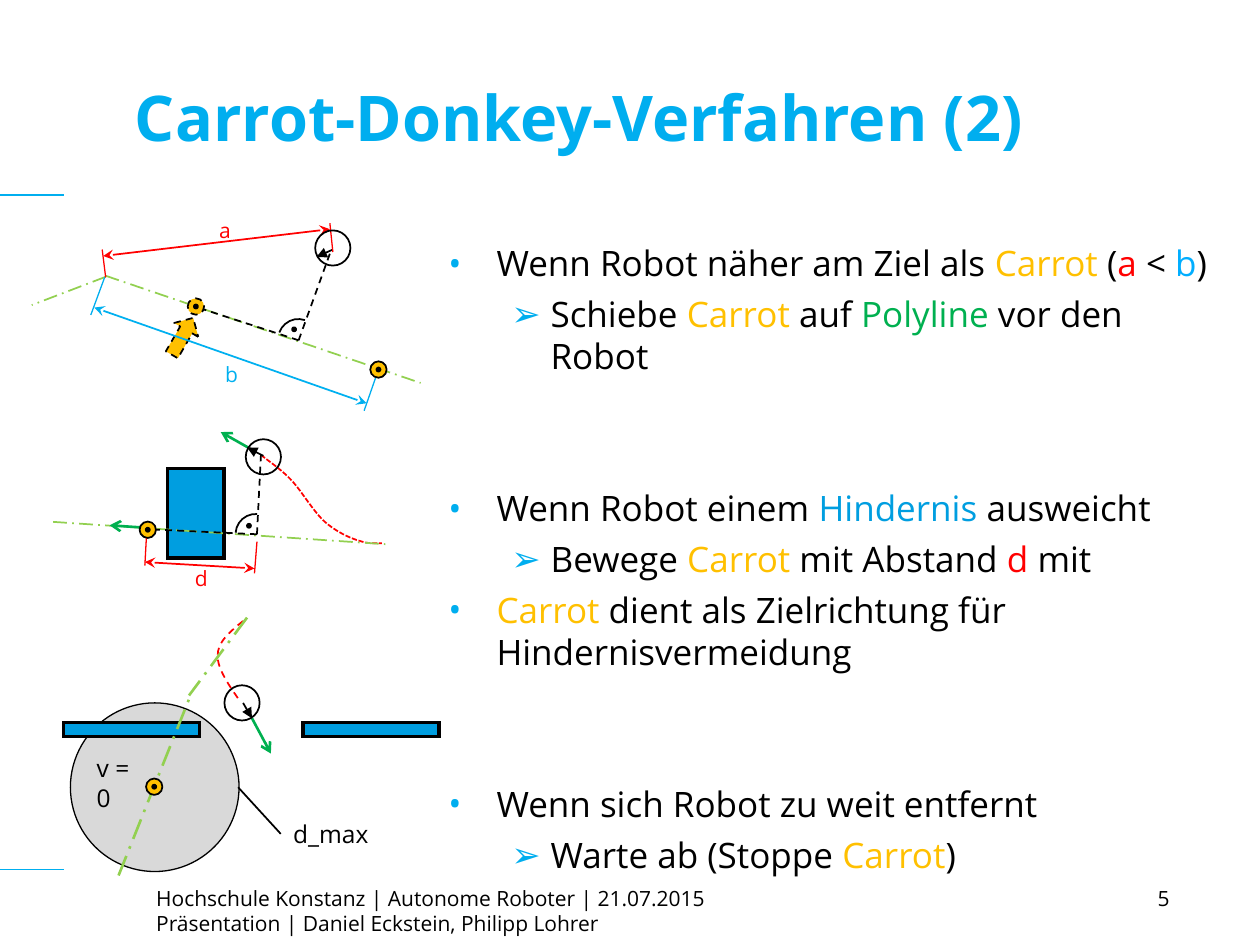
"""Builds the slide on the Carrot-Donkey method with its three sketches."""
from dataclasses import dataclass

from lxml import etree
from pptx import Presentation
from pptx import util as u
from pptx.dml import color
from pptx.enum import dml, shapes, text
from pptx.oxml import ns


@dataclass(frozen=True)
class Theme:
    font: str = "Open Sans"
    accent: str = "00AEEF"
    wall: str = "009EE0"
    carrot: str = "FFC000"
    red: str = "FF0000"
    blue: str = "00B0F0"
    b_blue: str = "00AEFF"
    green: str = "00B050"
    route: str = "92D050"
    black: str = "000000"
    grey: str = "D9D9D9"
    title: int = 36
    body: int = 20
    note: int = 14
    small: int = 12


T = Theme()
DASH = dml.MSO_LINE.DASH
ROUTE = dml.MSO_LINE.LONG_DASH_DOT


def paint(s, line, width, dash=None, fill=None):
    s.line.color.rgb = color.RGBColor.from_string(line)
    s.line.width = u.Pt(width)
    if dash is not None:
        s.line.dash_style = dash
    if hasattr(s, "fill"):
        s.shadow.inherit = False
        if fill:
            s.fill.solid()
            s.fill.fore_color.rgb = color.RGBColor.from_string(fill)
        else:
            s.fill.background()
    else:
        etree.SubElement(s._element.spPr, ns.qn("a:effectLst"))


def write(p, runs, size, bold=False):
    for words, shade in runs:
        r = p.add_run()
        r.text = words
        r.font.name = T.font
        r.font.size = u.Pt(size)
        r.font.bold = bold
        r.font.color.rgb = color.RGBColor.from_string(shade)


prs = Presentation()
prs.slide_width, prs.slide_height = u.Cm(25.4), u.Cm(19.05)
sp = prs.slides.add_slide(prs.slide_layouts[6]).shapes
SHAPE = shapes.MSO_SHAPE

for kind, box, turn, fill, width, dash in (
    (SHAPE.OVAL, (1.42, 14.17, 3.4, 3.4), 0, T.grey, 0.75, None),
    (SHAPE.RECTANGLE, (3.38, 9.45, 1.14, 1.8), 0, T.wall, 2, None),
    (SHAPE.RECTANGLE, (1.28, 14.57, 2.74, 0.28), 0, T.wall, 2, None),
    (SHAPE.RECTANGLE, (6.11, 14.57, 2.74, 0.28), 0, T.wall, 2, None),
    (SHAPE.DOWN_ARROW, (3.4, 6.35, 0.56, 0.86), 210, T.carrot, 1, DASH),
    (SHAPE.ARC, (5.61, 6.43, 0.81, 0.81), 289.1, None, 1, None),
    (SHAPE.ARC, (4.75, 10.36, 0.81, 0.81), 274, None, 1, None),
):
    s = sp.add_shape(kind, *map(u.Cm, box))
    s.rotation = turn
    paint(s, T.black, width, dash, fill)
    if kind == SHAPE.RECTANGLE:
        etree.SubElement(s.line._ln, ns.qn("a:miter"), lim="800000")

for points, dash in (
    (((5.26, 9.17), (5.49, 9.35), (5.72, 9.5), (5.92, 9.73), (6.12, 9.96), (6.32, 10.31),
      (6.55, 10.52), (6.78, 10.72), (7.06, 10.85), (7.24, 10.9), (7.44, 10.97),
      (7.57, 10.95), (7.7, 10.95)), dml.MSO_LINE.SQUARE_DOT),
    (((4.9, 12.52), (4.65, 12.73), (4.39, 12.93), (4.39, 13.21), (4.37, 13.49),
      (4.67, 13.89), (4.85, 14.15)), DASH),
):
    fb = sp.build_freeform(*map(u.Cm, points[0]))
    steps = [n / 10 for n in range(1, 11)]
    for i in range(0, len(points) - 1, 3):
        fb.add_line_segments(
            [[u.Cm(a * (1 - t) ** 3 + 3 * b * t * (1 - t) ** 2 + 3 * c * t ** 2 * (1 - t) + d * t ** 3)
              for a, b, c, d in zip(*points[i:i + 4])] for t in steps], close=False)
    paint(fb.convert_to_shape(), T.red, 1, dash)

line_groups = (
    (T.accent, 0.75, None, None, None, ((-0.1, 3.93, 1.3, 3.93), (-0.1, 17.53, 1.3, 17.53))),
    (T.route, 1, ROUTE, None, None, (
        (2.13, 5.56, 8.48, 7.72), (2.13, 5.58, 0.64, 6.15), (1.07, 10.52, 7.77, 10.97))),
    (T.route, 1.5, ROUTE, None, None, (
        (2.39, 17.65, 3.84, 14.02), (4.98, 12.45, 3.81, 14.02))),
    (T.green, 1.5, None, None, "arrow", (
        (5, 9.02, 4.45, 8.71), (2.97, 10.64, 2.21, 10.59), (5.08, 14.48, 5.46, 15.19))),
    (T.black, 1, None, "triangle", None, (
        (6.38, 5.18, 6.71, 5.03), (4.98, 9.02, 5.31, 9.19), (5.08, 14.48, 4.9, 14.17))),
    (T.black, 1, DASH, None, None, (
        (6.02, 6.86, 6.68, 5.03), (6.02, 6.86, 3.99, 6.2),
        (5.18, 10.77, 5.26, 9.17), (5.18, 10.77, 3.02, 10.67))),
    (T.blue, 1, None, "stealth", "stealth", ((1.9, 6.2, 7.39, 8.13),)),
    (T.accent, 0.75, None, None, None, (
        (7.57, 7.62, 7.34, 8.28), (2.11, 5.59, 1.83, 6.35))),
    (T.red, 1, None, "stealth", "stealth", (
        (6.65, 4.62, 2.08, 5.16), (2.92, 11.33, 5.13, 11.46))),
    (T.red, 0.75, None, None, None, (
        (2.13, 5.59, 2.06, 5.03), (6.71, 5.08, 6.65, 4.5),
        (5.18, 10.92, 5.13, 11.56), (2.95, 10.85, 2.92, 11.4))),
)
for shade, width, dash, head, tail, ends in line_groups:
    for end in ends:
        s = sp.add_connector(shapes.MSO_CONNECTOR.STRAIGHT, *map(u.Cm, end))
        paint(s, shade, width, dash)
        for tag, tip in (("a:headEnd", head), ("a:tailEnd", tail)):
            if tip:
                etree.SubElement(s.line._ln, ns.qn(tag), type=tip)

robots = ((6.71, 5), (5.31, 9.21), (4.88, 14.17))
carrots = ((7.63, 7.45), (2.98, 10.68), (3.11, 15.86))
moved_carrot = ((3.95, 6.18),)
right_angles = ((5.93, 6.64), (5.02, 10.6))
for centres, size, fill, dash in (
    (robots, 0.71, None, None),
    (carrots, 0.33, T.carrot, None),
    (moved_carrot, 0.33, T.carrot, DASH),
    (carrots + moved_carrot + right_angles, 0.08, T.black, None),
):
    for x, y in centres:
        s = sp.add_shape(SHAPE.OVAL, u.Cm(x - size / 2), u.Cm(y - size / 2), u.Cm(size), u.Cm(size))
        paint(s, T.black, 1, dash, fill)

for words, box, size, shade in (
    ("a", (4.17, 4.27, 0.74, 0.76), T.small, T.red),
    ("b", (4.29, 7.16, 0.76, 0.76), T.small, T.blue),
    ("d", (3.68, 11.28, 0.76, 0.76), T.small, T.red),
    ("v = 0", (1.7, 15.06, 1.57, 0.86), T.note, T.black),
    ("d_max", (5.66, 16.38, 2.03, 0.86), T.note, T.black),
):
    label = sp.add_textbox(*map(u.Cm, box))
    label.text_frame.word_wrap = False
    label.text_frame.auto_size = text.MSO_AUTO_SIZE.SHAPE_TO_FIT_TEXT
    write(label.text_frame.paragraphs[0], [(words, shade)], size)

leader = sp.add_connector(
    shapes.MSO_CONNECTOR.STRAIGHT, u.Cm(5.66), u.Cm(16.81), u.Cm(4.8), u.Cm(15.87))
leader.begin_connect(label, 1)
paint(leader, T.black, 1)

tf = sp.add_textbox(u.Cm(2.47), u.Cm(0.76), u.Cm(21.44), u.Cm(3.18)).text_frame
tf.word_wrap = True
tf.vertical_anchor = text.MSO_ANCHOR.MIDDLE
write(tf.paragraphs[0], [("Carrot-Donkey-Verfahren (2)", T.accent)], T.title, True)

for left, width, align, lines in (
    (2.9, 16.81, text.PP_ALIGN.LEFT, ("Hochschule Konstanz | Autonome Roboter | 21.07.2015",
                                      "Präsentation | Daniel Eckstein, Philipp Lohrer")),
    (20.5, 3.33, text.PP_ALIGN.RIGHT, ("5",)),
):
    tf = sp.add_textbox(u.Cm(left), u.Cm(17.73), u.Cm(width), u.Cm(1.32)).text_frame
    tf.word_wrap = True
    for i, words in enumerate(lines):
        p = tf.add_paragraph() if i else tf.paragraphs[0]
        p.alignment = align
        write(p, [(words, T.black)], T.small)

tf = sp.add_textbox(u.Cm(8.79), u.Cm(4.72), u.Cm(16.1), u.Cm(10.11)).text_frame
tf.word_wrap = True
tf.margin_top = u.Cm(0.15)
levels = (("•", 0.97, 0.97), ("➢", 2.06, 0.79))
for i, (level, before, runs) in enumerate((
    (0, 0, (("Wenn Robot näher am Ziel als ", T.black), ("Carrot", T.carrot), (" (", T.black),
            ("a ", T.red), ("< ", T.black), ("b", T.b_blue), (")", T.black))),
    (1, 5, (("Schiebe ", T.black), ("Carrot", T.carrot), (" auf ", T.black),
            ("Polyline", T.green), (" vor den Robot", T.black))),
    (0, 63, (("Wenn Robot einem ", T.black), ("Hindernis ", T.wall), ("ausweicht", T.black))),
    (1, 5, (("Bewege ", T.black), ("Carrot", T.carrot), (" mit Abstand ", T.black),
            ("d ", T.red), ("mit", T.black))),
    (0, 5, (("Carrot ", T.carrot), ("dient als Zielrichtung für Hindernisvermeidung", T.black))),
    (0, 63, (("Wenn sich Robot zu weit entfernt", T.black),)),
    (1, 5, (("Warte ab (Stoppe ", T.black), ("Carrot", T.carrot), (")", T.black))),
)):
    p = tf.add_paragraph() if i else tf.paragraphs[0]
    bullet, margin, hang = levels[level]
    p.level = level
    p.space_before = u.Pt(before)
    pPr = p._p.get_or_add_pPr()
    pPr.set("marL", str(u.Cm(margin)))
    pPr.set("indent", str(-u.Cm(hang)))
    tint = etree.SubElement(pPr, ns.qn("a:buClr"))
    etree.SubElement(tint, ns.qn("a:srgbClr"), val=T.accent)
    etree.SubElement(pPr, ns.qn("a:buFont"), typeface=T.font)
    etree.SubElement(pPr, ns.qn("a:buChar"), char=bullet)
    write(p, runs, T.body)

prs.save("out.pptx")
